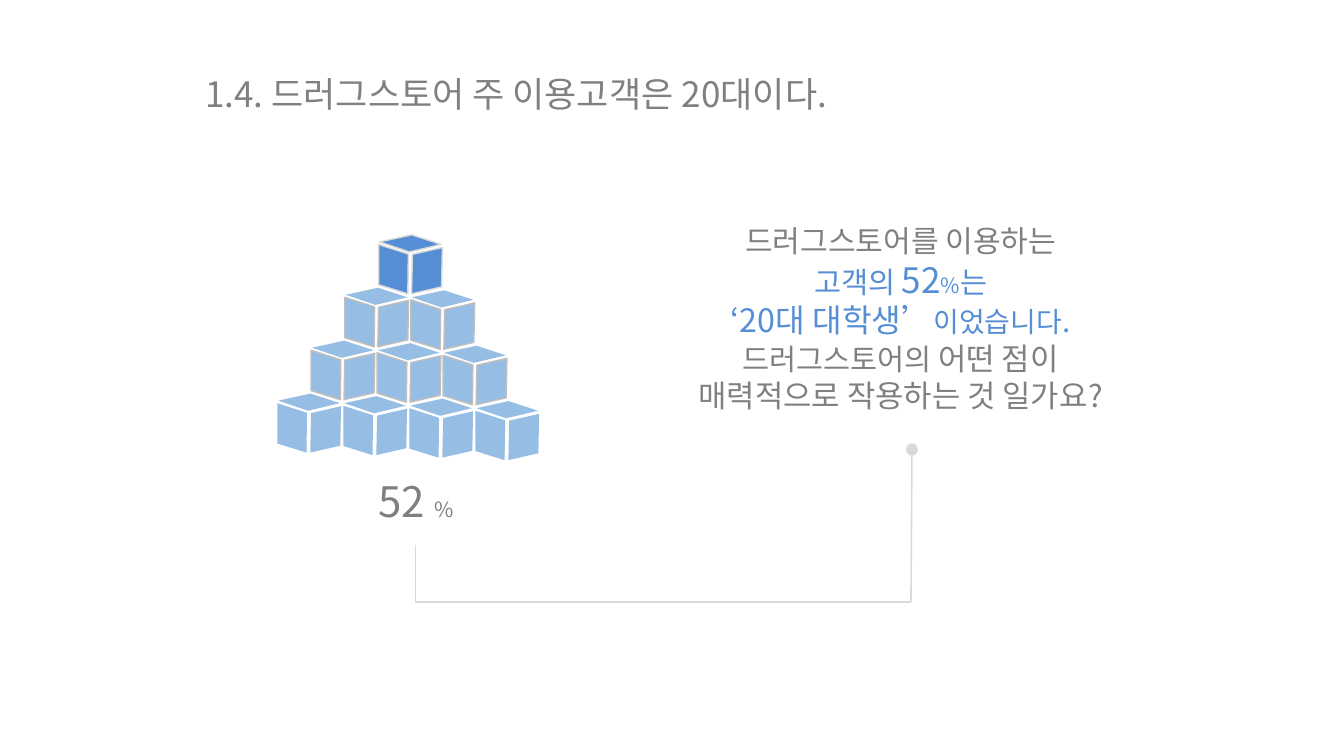
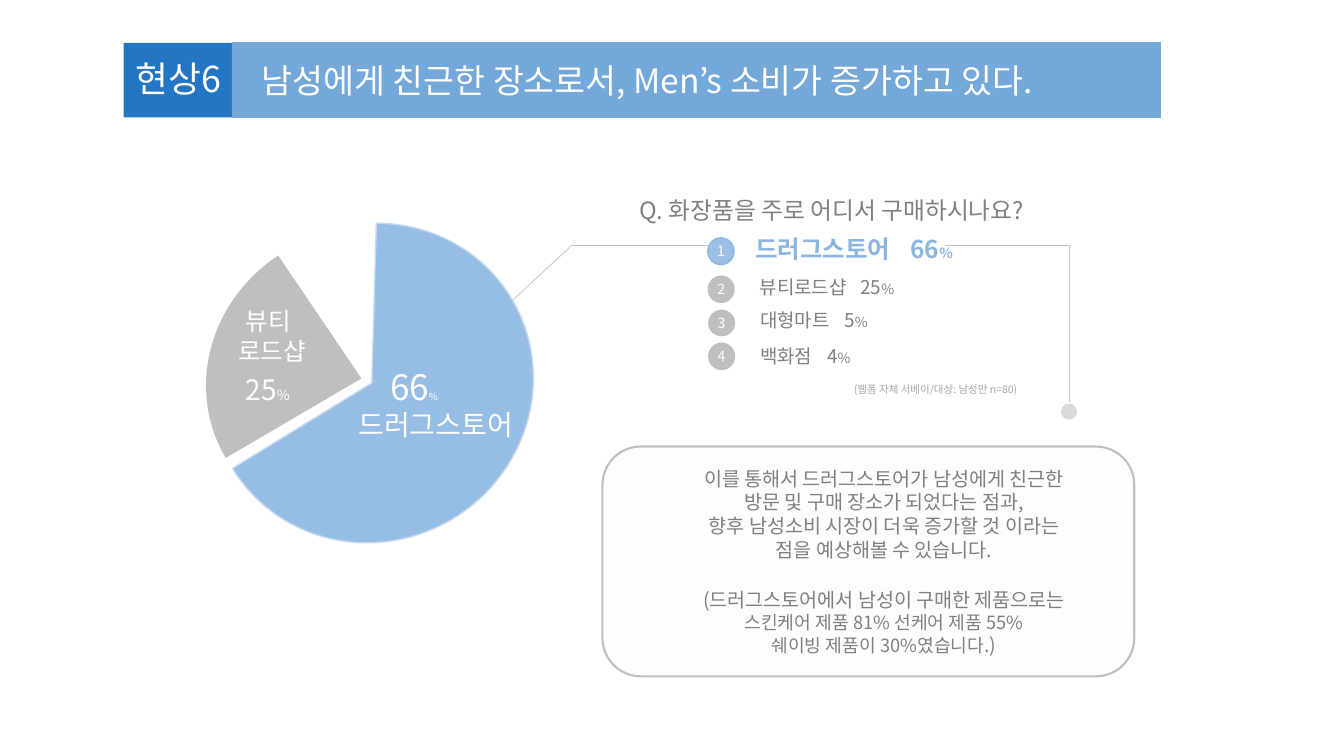
"""Builds two slides on who shops at drugstores."""
from dataclasses import dataclass
from typing import NamedTuple

from lxml import etree
from pptx import Presentation
from pptx.dml.color import RGBColor
from pptx.enum.shapes import MSO_CONNECTOR, MSO_SHAPE
from pptx.enum.text import MSO_ANCHOR, MSO_AUTO_SIZE, PP_ALIGN
from pptx.oxml.ns import qn
from pptx.util import Inches, Pt

LINE = MSO_CONNECTOR.STRAIGHT
RECT, ROUND, OVAL = MSO_SHAPE.RECTANGLE, MSO_SHAPE.ROUNDED_RECTANGLE, MSO_SHAPE.OVAL
SKEW, PIE = MSO_SHAPE.PARALLELOGRAM, MSO_SHAPE.PIE
LEFT, MID = PP_ALIGN.LEFT, PP_ALIGN.CENTER
TOP, CENTRE = MSO_ANCHOR.TOP, MSO_ANCHOR.MIDDLE
GROW = MSO_AUTO_SIZE.SHAPE_TO_FIT_TEXT
COLS, ROWS = 26.66, 15


@dataclass(frozen=True)
class Theme:
    """Colours, type sizes and font of the deck."""
    font: str = "Noto Sans CJK KR"
    leading: float = 1.2
    white: str = "FFFFFF"
    text: str = "808080"
    faint: str = "A6A6A6"
    grey: str = "BFBFBF"
    pale: str = "D9D9D9"
    panel: str = "F2F2F2"
    blue: str = "558ED5"
    sky: str = "96BDE3"
    rim: str = "C6D9F1"
    deep: str = "2276C4"
    band: str = "73A8D9"
    dot: str = "75A9D9"
    key: str = "8BB6E0"
    tiny: int = 14
    note: int = 15
    mark: int = 20
    small: int = 26
    row: int = 27
    body: int = 28
    unit: int = 30
    ask: int = 34
    lead: int = 35
    label: int = 40
    plain: int = 42
    open: int = 43
    close: int = 44
    quote: int = 46
    head: int = 48
    big: int = 50
    badge: int = 51
    huge: int = 60


T = Theme()


class Box(NamedTuple):
    """A place on the grid, in columns and rows."""
    left: float
    top: float
    width: float
    height: float


class Run(NamedTuple):
    """A piece of text in one style."""
    text: str
    size: int
    color: str = T.text
    bold: bool = False


class Para(NamedTuple):
    """A paragraph with its indent, tab stop and space before."""
    runs: list[Run]
    indent: float = 0
    tab: float = 0
    before: float = 0


class Item(NamedTuple):
    """A ranked answer with its share."""
    name: str
    share: int
    text: Box
    ball: Box
    tab: float


class Slice(NamedTuple):
    """A pie slice with its angles in degrees."""
    box: Box
    turn: float
    start: float
    end: float
    fill: str
    edge: str


ITEMS = [
    Item("드러그스토어", 66, Box(14.88, 4.6, 5.45, 1.43), Box(14.04, 4.72, 0.52, 0.53), 3.08),
    Item("뷰티로드샵", 25, Box(14.97, 5.42, 3.14, 0.56), Box(14.05, 5.48, 0.51, 0.52), 2),
    Item("대형마트", 5, Box(14.98, 6.08, 3.14, 0.56), Box(14.06, 6.16, 0.51, 0.5), 1.67),
    Item("백화점", 4, Box(14.98, 6.79, 3.14, 0.56), Box(14.06, 6.81, 0.51, 0.52), 1.33),
]
SLICES = [
    Slice(Box(4.24, 4.36, 6.27, 6.48), 235.1, 36.53, 273.4, T.sky, T.rim),
    Slice(Box(4.06, 4.59, 6.18, 5.83), 330.6, 179.03, 265.31, T.grey, T.grey),
]
LID = [(0.02, -0.05), (0.66, -0.19), (1.24, 0), (0.61, 0.15)]
SIDE = [(0, 0), (0.59, 0.19), (0.58, 0.98), (0, 0.8)]


def cells(box: Box) -> list[int]:
    """Turn grid cells into slide lengths."""
    return [Inches(n) for n in box]


def write(frame, paras: list[Para], align=LEFT) -> None:
    """Fill a text frame with styled paragraphs."""
    for num, item in enumerate(paras):
        para = frame.add_paragraph() if num else frame.paragraphs[0]
        para.alignment = align
        para.line_spacing = Pt(round(T.leading * max(r.size for r in item.runs)))
        para.space_before = Pt(item.before)
        props = para._p.get_or_add_pPr()
        if item.indent:
            props.set("marL", str(Inches(item.indent)))
            props.set("indent", "0")
        if item.tab:
            tabs = etree.SubElement(props, qn("a:tabLst"))
            etree.SubElement(tabs, qn("a:tab"), pos=str(Inches(item.tab)), algn="l")
        for part in item.runs:
            run = para.add_run()
            run.text = part.text
            font = run.font
            font.size, font.bold, font.name = Pt(part.size), part.bold, T.font
            font.color.rgb = RGBColor.from_string(part.color)
            etree.SubElement(run._r.get_or_add_rPr(), qn("a:ea"), typeface=T.font)


def label(slide, box: Box, paras: list[Para], align=LEFT) -> None:
    """Add a text box."""
    frame = slide.shapes.add_textbox(*cells(box)).text_frame
    frame.word_wrap, frame.auto_size = True, GROW
    write(frame, paras, align)


def title(slide, box: Box, text: str, size: int, color: str) -> None:
    """Place the title in front of what is drawn so far."""
    shape = slide.shapes.title
    shape.left, shape.top, shape.width, shape.height = cells(box)
    slide.shapes._spTree.append(shape.element)
    frame = shape.text_frame
    frame.word_wrap, frame.auto_size, frame.vertical_anchor = True, GROW, TOP
    write(frame, [Para([Run(text, size, color)])])


def paint(shape, fill: str, edge: str = "", width: float = 2, alpha: int = 100) -> None:
    """Set fill, outline and opacity, with no shadow."""
    shape.shadow.inherit = False
    shape.fill.solid()
    shape.fill.fore_color.rgb = RGBColor.from_string(fill)
    if alpha < 100:
        tone = shape.element.spPr.find(qn("a:solidFill"))[0]
        etree.SubElement(tone, qn("a:alpha"), val=str(alpha * 1000))
    if edge:
        shape.line.color.rgb = RGBColor.from_string(edge)
        shape.line.width = Pt(width)
    else:
        shape.line.fill.background()


def block(slide, kind, box: Box, fill: str, edge: str = "", width: float = 2, alpha: int = 100):
    """Add a painted preset shape."""
    shape = slide.shapes.add_shape(kind, *cells(box))
    paint(shape, fill, edge, width, alpha)
    return shape


def face(slide, left: float, top: float, spots: list, fill: str, edge: str) -> None:
    """Add one flat face of a cube."""
    pts = [(Inches(left + x), Inches(top + y)) for x, y in spots]
    form = slide.shapes.build_freeform(*pts[0])
    form.add_line_segments(pts[1:], close=True)
    paint(form.convert_to_shape(), fill, edge)


def trace(slide, spots: list, color: str, width: float) -> None:
    """Join points with straight lines."""
    for start, end in zip(spots, spots[1:]):
        line = slide.shapes.add_connector(LINE, *[Inches(n) for n in (*start, *end)])
        line.line.color.rgb = RGBColor.from_string(color)
        line.line.width = Pt(width)
        etree.SubElement(line.element.spPr, qn("a:effectLst"))


def cube(slide, row: int, col: int) -> None:
    """Add a cube of the pyramid."""
    left = 7.51 - 0.67 * row + 1.31 * col
    top = 4.85 + 1.05 * row + 0.05 * col
    fill = T.sky if row else T.blue
    lid = "" if row else T.pale
    edge = (T.pale, T.grey, T.grey, "")[row]
    face(slide, left, top, LID, fill, lid)
    wall = block(slide, SKEW, Box(left + 0.56, top + 0.14, 0.8, 0.76), fill, edge)
    wall.rotation = 347.1
    face(slide, left, top, SIDE, fill, edge)


def users(deck) -> None:
    """Draw the slide on the main customers."""
    slide = deck.slides.add_slide(deck.slide_layouts[5])
    title(slide, Box(3.97, 1.39, 16, 0.94), "1.4. 드러그스토어 주 이용고객은 20대이다.", T.big, T.text)
    label(slide, Box(11.2, 4.36, 13.33, 3.92), [
        Para([Run("드러그스토어를 이용하는", T.open)]),
        Para([Run("고객의 ", T.plain, T.blue), Run("52", T.big, T.blue),
              Run("%", T.unit, T.blue), Run("는", T.plain, T.blue)]),
        Para([Run("‘20대 대학생’", T.quote, T.blue), Run("이었습니다", T.label, T.blue),
              Run(".", T.plain, T.blue)]),
        Para([Run("드러그스토어의 ", T.plain), Run("어떤 점이", T.close)]),
        Para([Run("매력적으로 작용하는 것 일가요?", T.close)]),
    ], MID)
    for row in range(4):
        for col in range(row + 1):
            cube(slide, row, col)
    label(slide, Box(7.41, 9.38, 2.5, 1.11), [Para([Run("52 ", T.huge), Run("%", T.unit)])])
    block(slide, OVAL, Box(17.99, 8.81, 0.2, 0.22), T.pale, T.pale, 2.25)
    trace(slide, [(8.24, 10.81), (8.24, 11.95), (18.07, 11.95), (18.09, 9.03)], T.pale, 2.25)


def rank(slide, num: int, item: Item) -> None:
    """Add a numbered answer, the first one in blue."""
    first = num == 1
    size, color = (T.lead, T.key) if first else (T.row, T.text)
    label(slide, item.text, [Para([Run(f"{item.name}\t{item.share}", size, color, first),
                                   Run("%", T.mark, color, first)], tab=item.tab)])
    look = (T.dot, T.key, 2, 72) if first else (T.grey, T.grey)
    frame = block(slide, OVAL, item.ball, *look).text_frame
    frame.margin_left = frame.margin_right = frame.margin_top = frame.margin_bottom = 0
    frame.vertical_anchor = CENTRE
    write(frame, [Para([Run(str(num), T.mark, T.white)])], MID)


def men(deck) -> None:
    """Draw the slide on male shoppers."""
    slide = deck.slides.add_slide(deck.slide_layouts[5])
    trace(slide, [(10.08, 6.04), (11.34, 4.87)], T.grey, 1)
    block(slide, ROUND, Box(11.95, 8.86, 10.55, 4.56), T.panel, T.grey, 3, 12)
    block(slide, RECT, Box(2.45, 0.85, 2.15, 1.48), T.deep)
    block(slide, RECT, Box(4.6, 0.85, 18.42, 1.48), T.band, T.band, 1)
    title(slide, Box(5.09, 1.13, 16.18, 0.91),
          "남성에게 친근한 장소로서, Men’s 소비가 증가하고 있다.", T.head, T.white)
    label(slide, Box(2.59, 1.08, 2.26, 0.96), [Para([Run("현상6", T.badge, T.white)])])
    for part in SLICES:
        pie = block(slide, PIE, part.box, part.fill, part.edge)
        pie.rotation = part.turn
        pie.adjustments[0], pie.adjustments[1] = part.start * 0.6, part.end * 0.6
    label(slide, Box(7.01, 7.21, 5.59, 1.8), [
        Para([Run("66", T.big, T.white), Run("%", T.tiny, T.white)], indent=0.63),
        Para([Run("드러그스토어", T.label, T.white)]),
    ])
    label(slide, Box(4.63, 6.03, 1.78, 2.12), [
        Para([Run("뷰티", T.lead, T.white)], indent=0.15),
        Para([Run("로드샵", T.lead, T.white)]),
        Para([Run("25", T.label, T.white), Run("%", T.mark, T.white)], indent=0.15, before=11),
    ])
    label(slide, Box(12.58, 3.84, 8.54, 0.67),
          [Para([Run("Q. 화장품을 주로 어디서 구매하시나요?", T.ask)])])
    trace(slide, [(11.34, 4.87), (14.04, 4.87)], T.grey, 0.75)
    trace(slide, [(18.75, 4.87), (21.21, 4.87), (21.21, 7.98)], T.grey, 0.75)
    block(slide, OVAL, Box(21.06, 8.02, 0.29, 0.29), T.pale, T.pale)
    for num, item in enumerate(ITEMS, 1):
        rank(slide, num, item)
    label(slide, Box(16.84, 7.55, 5.19, 0.35),
          [Para([Run("(웹폼 자체 서베이/대상: 남성만 n=80)", T.note, T.faint)])])
    label(slide, Box(12.26, 9.2, 10.55, 4.4), [
        Para([Run("이를 통해서 드러그스토어가 남성에게 친근한", T.body)]),
        Para([Run("방문 및 구매 장소가 되었다는 점과,", T.body)]),
        Para([Run("향후 남성소비 시장이 더욱 증가할 것 이라는", T.body)]),
        Para([Run("점을 예상해볼 수 있습니다.", T.body)]),
        Para([Run("(드러그스토어에서 남성이 구매한 제품으로는", T.body)], before=37),
        Para([Run("스킨케어 제품 81% 선케어 제품 55%", T.small)]),
        Para([Run("쉐이빙 제품이 30%였습니다", T.small), Run(".)", T.body)]),
    ], MID)


def main() -> None:
    """Build and save the deck."""
    deck = Presentation()
    deck.slide_width, deck.slide_height = Inches(COLS), Inches(ROWS)
    users(deck)
    men(deck)
    deck.save("out.pptx")


if __name__ == "__main__":
    main()
